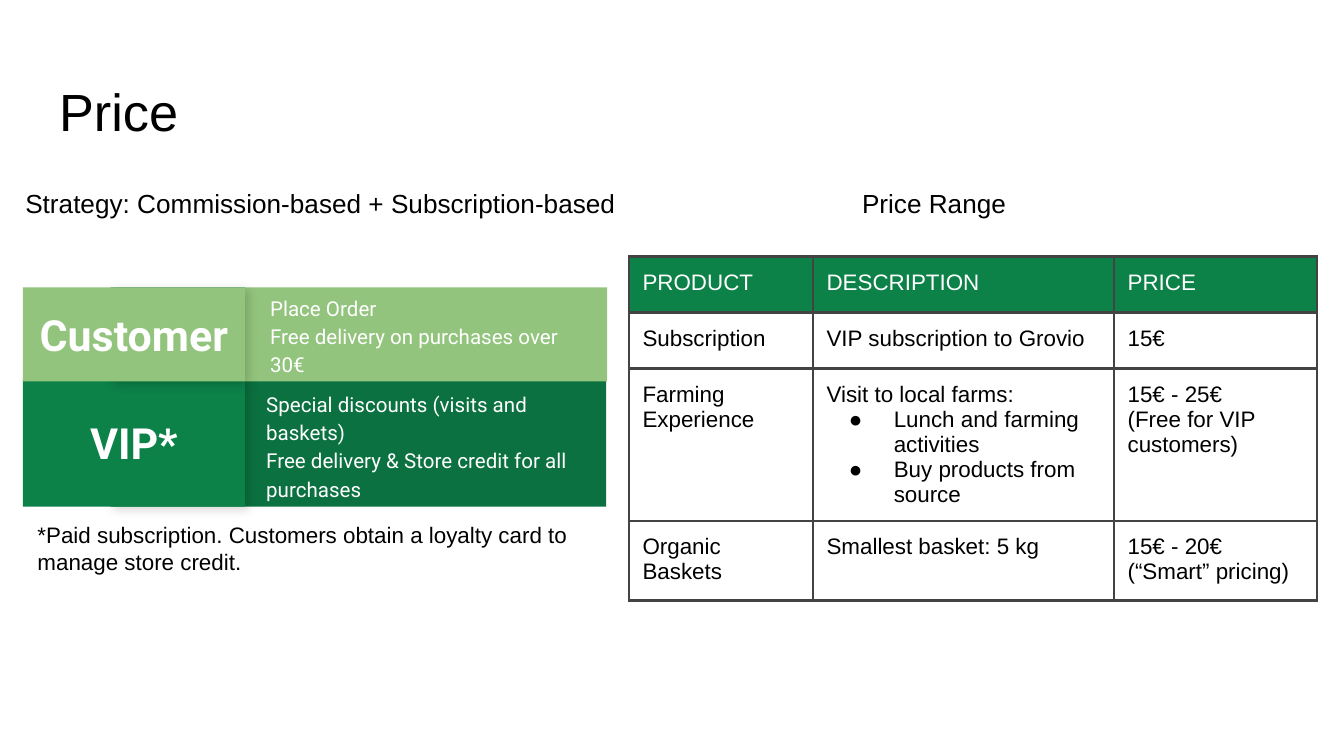
import dataclasses

import lxml.etree
import pptx
import pptx.dml.color
import pptx.enum.shapes
import pptx.enum.text
import pptx.oxml
import pptx.oxml.ns
import pptx.util

Pt = pptx.util.Pt
Align = pptx.enum.text.PP_ALIGN
Anchor = pptx.enum.text.MSO_ANCHOR
Rect = pptx.enum.shapes.MSO_SHAPE.RECTANGLE


@dataclasses.dataclass(frozen=True)
class Theme:
    """Colours, fonts and type sizes of the slide."""
    ink: str = "000000"
    white: str = "FFFFFF"
    green: str = "0C8148"
    deep: str = "0B7140"
    shade: str = "0B7743"
    light: str = "93C47D"
    rule: str = "434343"
    sans: str = "Arial"
    card: str = "Roboto"
    title: int = 28
    head: int = 14
    label: int = 23
    small: int = 11
    body: int = 12
    inset: float = 7.2


theme = Theme()


def rgb(code):
    """Turn a hex code into a colour."""
    return pptx.dml.color.RGBColor.from_string(code)


def add_xml(host, tag, **attrs):
    """Append a DrawingML child to an element."""
    node = lxml.etree.SubElement(host, pptx.oxml.ns.qn(tag))
    for key, value in attrs.items():
        node.set(key, str(value))
    return node


def bullet(para):
    """Give a paragraph a hanging round bullet."""
    props = para._p.get_or_add_pPr()
    props.set("marL", str(Pt(36)))
    props.set("indent", str(-Pt(24)))
    color = add_xml(props, "a:buClr")
    add_xml(color, "a:srgbClr", val=theme.ink)
    add_xml(props, "a:buFont", typeface=theme.sans)
    add_xml(props, "a:buChar", char="●")


def write(frame, lines, size, color=theme.ink, font=theme.sans, bold=False,
          align=Align.LEFT, lead=1, after=0):
    """Fill a text frame, one run to a paragraph."""
    for row, line in enumerate(lines):
        para = frame.add_paragraph() if row else frame.paragraphs[0]
        para.alignment, para.line_spacing = align, lead
        para.space_before, para.space_after = Pt(0), Pt(after)
        if line.startswith("● "):
            bullet(para)
        run = para.add_run()
        run.text = line.removeprefix("● ")
        run.font.name, run.font.size = font, Pt(size)
        run.font.bold, run.font.color.rgb = bold, rgb(color)


def pad(host):
    """Set equal margins on a text frame or cell."""
    for side in ("left", "right", "top", "bottom"):
        setattr(host, "margin_" + side, Pt(theme.inset))


def ready(frame, anchor=Anchor.TOP):
    """Set margins, wrap and anchor of a text frame."""
    pad(frame)
    frame.word_wrap = True
    frame.auto_size = pptx.enum.text.MSO_AUTO_SIZE.NONE
    frame.vertical_anchor = anchor
    return frame


def add_text(slide, box, lines, size, anchor=Anchor.TOP, **style):
    """Add a wrapped text box."""
    frame = ready(slide.shapes.add_textbox(*map(Pt, box)).text_frame, anchor)
    write(frame, lines, size, **style)
    return frame


def add_rect(slide, box, fill):
    """Add a plain rectangle without a line."""
    shape = slide.shapes.add_shape(Rect, *map(Pt, box))
    shape.shadow.inherit = False
    shape.fill.solid()
    shape.fill.fore_color.rgb = rgb(fill)
    shape.line.fill.background()
    return shape


def cast(shape):
    """Give a shape a soft shadow."""
    effects = shape._element.spPr.find(pptx.oxml.ns.qn("a:effectLst"))
    outer = add_xml(effects, "a:outerShdw", blurRad=Pt(5.6), dist=Pt(2.2),
                    dir=45 * 60000, algn="bl", rotWithShape=0)
    color = add_xml(outer, "a:srgbClr", val=theme.ink)
    add_xml(color, "a:alpha", val=17000)


def add_title(slide, box, text):
    """Place and format the title."""
    title = slide.shapes.title
    title.left, title.top, title.width, title.height = map(Pt, box)
    write(ready(title.text_frame), [text], theme.title)


def add_tier(slide, box, name, lines, fills, note, spare=0):
    """Add a customer tier: label at left and benefits at right."""
    left, top, width, height = box
    split = 119
    add_rect(slide, (left + split, top, width - split, height), fills[1])
    dx, dy, wide, high = note
    frame = add_text(slide, (left + split + dx, top + dy, wide, high), lines,
                     theme.small, Anchor.MIDDLE, color=theme.white,
                     font=theme.card, lead=1.15)
    frame.margin_bottom = Pt(theme.inset + spare)
    cast(add_rect(slide, (left + split - 72, top, 72, height), theme.shade))
    label = add_rect(slide, (left, top, split, height), fills[0])
    write(ready(label.text_frame, Anchor.MIDDLE), [name], theme.label,
          theme.white, theme.card, True, Align.CENTER)


def edge(cell):
    """Draw the four borders of a cell."""
    props = cell._tc.get_or_add_tcPr()
    for spot, side in enumerate(("a:lnL", "a:lnR", "a:lnT", "a:lnB")):
        line = add_xml(props, side, w=Pt(1.5))
        fill = add_xml(line, "a:solidFill")
        add_xml(fill, "a:srgbClr", val=theme.rule)
        props.insert(spot, line)


def add_prices(slide, box, cols, highs, rows):
    """Add the price table."""
    grid = slide.shapes.add_table(len(rows), len(cols), *map(Pt, box)).table
    grid.first_row = grid.horz_banding = False
    for col, width in zip(grid.columns, cols):
        col.width = Pt(width)
    for row, high in zip(grid.rows, highs):
        row.height = Pt(high)
    for y, row in enumerate(rows):
        for x, lines in enumerate(row):
            cell = grid.cell(y, x)
            pad(cell)
            if y:
                cell.fill.background()
            else:
                cell.fill.solid()
                cell.fill.fore_color.rgb = rgb(theme.green)
            edge(cell)
            write(cell.text_frame, lines, theme.body,
                  theme.ink if y else theme.white)


def main():
    """Build and save the slide."""
    deck = pptx.Presentation()
    deck.slide_width, deck.slide_height = Pt(720), Pt(405)
    slide = deck.slides.add_slide(deck.slide_layouts[5])
    add_title(slide, (24.5, 35.3, 671, 45.4), "Price")
    heads = (((6.5, 90.7, 368, 39.6), Align.LEFT,
              "Strategy: Commission-based + Subscription-based"),
             ((337, 90.7, 326.9, 36), Align.CENTER, "Price Range"))
    for box, align, text in heads:
        add_text(slide, box, [text], theme.head, align=align, lead=1.15,
                 after=16)
    add_tier(slide, (12.3, 203, 312.4, 68.4), "VIP*",
             ["Special discounts (visits and baskets)",
              "Free delivery & Store credit for all purchases"],
             (theme.green, theme.deep), (4.2, 16.6, 176.4, 52.6), 15.2)
    add_tier(slide, (12.3, 154, 313, 50.4), "Customer",
             ["Place Order", "Free delivery on purchases over 30€"],
             (theme.light, theme.light), (6.3, 5.8, 186.5, 38.9))
    add_text(slide, (13, 272.2, 311.8, 45.4),
             ["*Paid subscription. Customers obtain a loyalty card to "
              "manage store credit."], theme.body)
    add_prices(slide, (337, 137.4, 368.6, 184.4), (98.6, 161.3, 108.7),
               (30, 30, 81.8, 42.6), [
        (["PRODUCT"], ["DESCRIPTION"], ["PRICE"]),
        (["Subscription"], ["VIP subscription to Grovio"], ["15€"]),
        (["Farming Experience"],
         ["Visit to local farms:", "● Lunch and farming activities",
          "● Buy products from source"],
         ["15€ - 25€", "(Free for VIP customers)"]),
        (["Organic Baskets"], ["Smallest basket: 5 kg"],
         ["15€ - 20€", "(“Smart” pricing)"])])
    deck.save("out.pptx")


if __name__ == "__main__":
    main()
